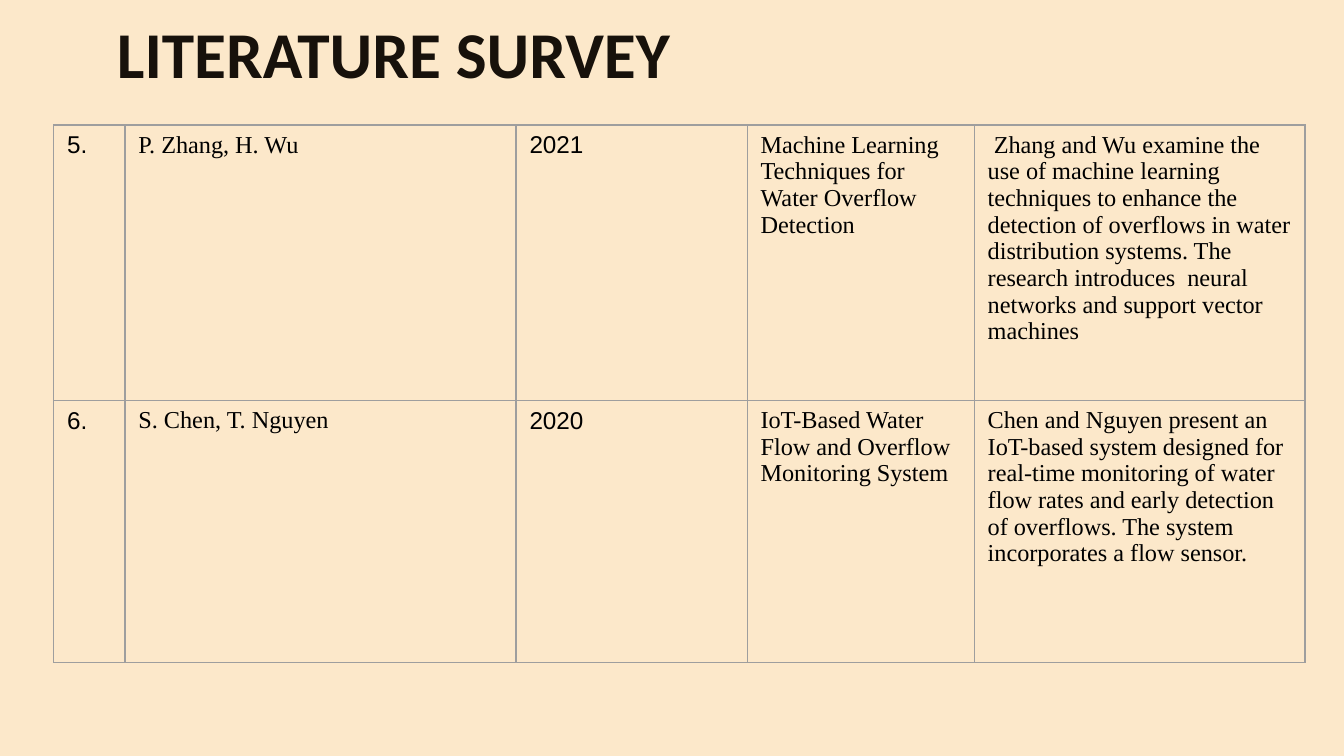
from lxml.etree import SubElement
from pptx import Presentation
from pptx.dml.color import RGBColor
from pptx.enum.text import MSO_ANCHOR, MSO_AUTO_SIZE, PP_ALIGN
from pptx.oxml.ns import qn
from pptx.util import Inches, Pt

# Content
TITLE = "LITERATURE SURVEY"
PAPERS = [
    ("5.", "P. Zhang, H. Wu", "2021",
     "Machine Learning Techniques for Water Overflow Detection",
     " Zhang and Wu examine the use of machine learning techniques to enhance "
     "the detection of overflows in water distribution systems. The research "
     "introduces  neural networks and support vector machines"),
    ("6.", "S. Chen, T. Nguyen", "2020",
     "IoT-Based Water Flow and Overflow Monitoring System",
     "Chen and Nguyen present an IoT-based system designed for real-time "
     "monitoring of water flow rates and early detection of overflows. "
     "The system incorporates a flow sensor."),
]

# Style and grid
COLORS = {"background": "FCE8CA", "title": "17110B", "text": "000000", "border": "9E9E9E"}
SERIF = "Times New Roman"
COLUMN_FONTS = ["Arial", SERIF, "Arial", SERIF, SERIF]
COLUMN_WIDTHS = [0.53, 2.91, 1.72, 1.69, 2.46]
ROW_HEIGHTS = [2.05, 1.95]
TABLE_LEFT, TABLE_TOP = 0.4, 0.93


def color(name):
    return RGBColor.from_string(COLORS[name])


def set_font(paragraph, name, size, color_name, bold=False):
    font = paragraph.font
    font.name, font.size, font.bold = name, Pt(size), bold
    font.color.rgb = color(color_name)


def add_borders(cell):
    properties = cell._tc.get_or_add_tcPr()
    for position, side in enumerate(("lnL", "lnR", "lnT", "lnB")):
        line = properties.makeelement(qn(f"a:{side}"), {"w": str(Pt(0.75))})
        fill = SubElement(line, qn("a:solidFill"))
        SubElement(fill, qn("a:srgbClr"), val=COLORS["border"])
        properties.insert(position, line)


# Widescreen 16:9 slide
prs = Presentation()
prs.slide_width = Inches(10)
prs.slide_height = prs.slide_width * 9 // 16
slide = prs.slides.add_slide(prs.slide_layouts[5])
slide.background.fill.solid()
slide.background.fill.fore_color.rgb = color("background")

# Title
title = slide.shapes.title
title.left, title.top, title.width, title.height = map(Inches, (0.77, 0.11, 4.96, 1.13))
frame = title.text_frame
frame.text = TITLE
frame.word_wrap = True
frame.auto_size = MSO_AUTO_SIZE.NONE
frame.vertical_anchor = MSO_ANCHOR.TOP
frame.margin_left = frame.margin_right = frame.margin_top = frame.margin_bottom = Inches(0.1)
heading = frame.paragraphs[0]
heading.alignment = PP_ALIGN.LEFT
heading.line_spacing = 0.8
set_font(heading, "Calibri", 35, "title", bold=True)

# Table of papers
table = slide.shapes.add_table(
    len(PAPERS), len(COLUMN_WIDTHS), Inches(TABLE_LEFT), Inches(TABLE_TOP),
    Inches(sum(COLUMN_WIDTHS)), Inches(sum(ROW_HEIGHTS))).table
table.first_row = table.horz_banding = False
for column, width in zip(table.columns, COLUMN_WIDTHS):
    column.width = Inches(width)
for row, height, paper in zip(table.rows, ROW_HEIGHTS, PAPERS):
    row.height = Inches(height)
    for cell, entry, font_name in zip(row.cells, paper, COLUMN_FONTS):
        cell.text = entry
        cell.fill.background()
        cell.margin_left = cell.margin_right = Inches(0.1)
        cell.margin_top = cell.margin_bottom = Inches(0.05)
        set_font(cell.text_frame.paragraphs[0], font_name, 13, "text")
        add_borders(cell)

prs.save("out.pptx")
